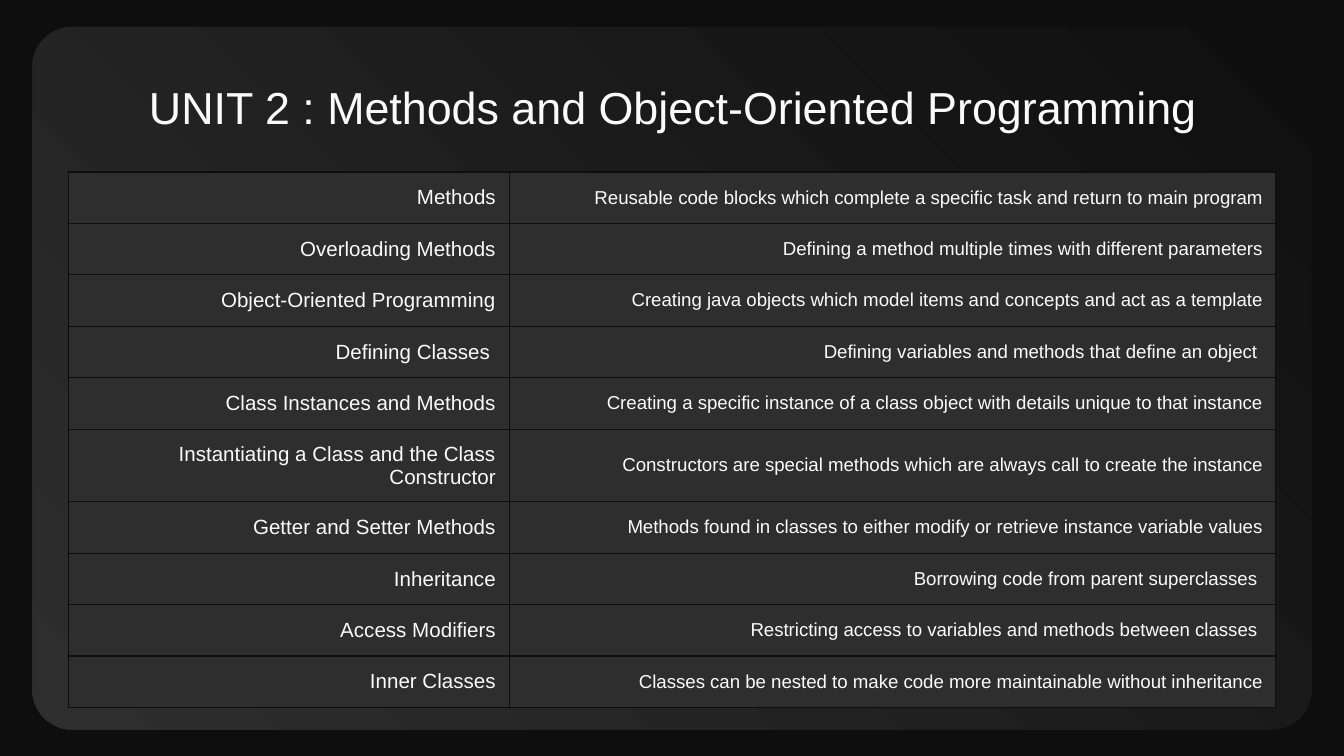
"""Build the Unit 2 slide: a table of Java topics and their definitions."""
from dataclasses import dataclass

from lxml.etree import SubElement
from pptx import Presentation
from pptx.dml.color import RGBColor
from pptx.enum.shapes import MSO_SHAPE as Preset
from pptx.enum.text import MSO_ANCHOR as Anchor, MSO_AUTO_SIZE as AutoSize, PP_ALIGN as Align
from pptx.oxml.ns import qn
from pptx.util import Inches, Pt

COLORS = {"background": "0E0E0E", "panel_dark": "0F0F0F", "panel_light": "2E2E2E",
          "cell": "2E2E2E", "border": "0E0E0E", "text": "FAFAFA"}
FONT = "Arial"
INSET = Inches(0.1)
COLUMN_WIDTHS = (3.28, 5.7)
TABLE_HEIGHT = 3.83


@dataclass(frozen=True)
class Topic:
    name: str
    definition: str
    space_after: int = 16


TOPICS = (
    Topic("Methods", "Reusable code blocks which complete a specific task and return to main program"),
    Topic("Overloading Methods", "Defining a method multiple times with different parameters"),
    Topic("Object-Oriented Programming",
          "Creating java objects which model items and concepts and act as a template"),
    Topic("Defining Classes ", "Defining variables and methods that define an object "),
    Topic("Class Instances and Methods",
          "Creating a specific instance of a class object with details unique to that instance"),
    Topic("Instantiating a Class and the Class Constructor",
          "Constructors are special methods which are always call to create the instance", 0),
    Topic("Getter and Setter Methods",
          "Methods found in classes to either modify or retrieve instance variable values"),
    Topic("Inheritance", "Borrowing code from parent superclasses "),
    Topic("Access Modifiers", "Restricting access to variables and methods between classes "),
    Topic("Inner Classes", "Classes can be nested to make code more maintainable without inheritance"),
)


def rgb(role: str) -> RGBColor:
    return RGBColor.from_string(COLORS[role])


def format_paragraph(paragraph, size: int, align: Align) -> None:
    paragraph.alignment = align
    paragraph.font.name = FONT
    paragraph.font.size = Pt(size)
    paragraph.font.color.rgb = rgb("text")


def set_insets(holder, anchor: Anchor) -> None:
    holder.margin_left = holder.margin_right = INSET
    holder.margin_top = holder.margin_bottom = INSET
    holder.vertical_anchor = anchor


def add_borders(cell) -> None:
    properties = cell._tc.get_or_add_tcPr()
    for side in ("lnL", "lnR", "lnT", "lnB"):
        line = SubElement(properties, qn(f"a:{side}"), w=str(Pt(0.75)))
        fill = SubElement(line, qn("a:solidFill"))
        SubElement(fill, qn("a:srgbClr"), val=COLORS["border"])


def fill_cell(cell, text: str, size: int, space_after: int = 0) -> None:
    cell.text = text
    set_insets(cell, Anchor.MIDDLE)
    paragraph = cell.text_frame.paragraphs[0]
    format_paragraph(paragraph, size, Align.RIGHT)
    paragraph.space_after = Pt(space_after)
    add_borders(cell)
    cell.fill.solid()
    cell.fill.fore_color.rgb = rgb("cell")


def add_title(slide, text: str):
    title = slide.shapes.title
    title.left, title.top = Inches(0.79), Inches(0.49)
    title.width, title.height = Inches(8.43), Inches(0.63)
    frame = title.text_frame
    frame.text = text
    frame.auto_size = AutoSize.NONE
    set_insets(frame, Anchor.TOP)
    format_paragraph(frame.paragraphs[0], 24, Align.CENTER)
    return title


def add_panel(slide):
    panel = slide.shapes.add_shape(
        Preset.ROUNDED_RECTANGLE, Inches(0.24), Inches(0.2), Inches(9.52), Inches(5.23))
    panel.adjustments[0] = 0.057
    panel.shadow.inherit = False
    panel.line.fill.background()
    panel.fill.gradient()
    panel.fill.gradient_angle = 225
    for stop, role in zip(panel.fill.gradient_stops, ("panel_dark", "panel_light")):
        stop.color.rgb = rgb(role)
    return panel


def add_topic_table(slide, topics: tuple[Topic, ...]) -> None:
    table = slide.shapes.add_table(
        len(topics), len(COLUMN_WIDTHS), Inches(0.51), Inches(1.28),
        Inches(sum(COLUMN_WIDTHS)), Inches(TABLE_HEIGHT)).table
    table.first_row = table.horz_banding = False
    for column, width in zip(table.columns, COLUMN_WIDTHS):
        column.width = Inches(width)
    for row, topic in zip(table.rows, topics):
        name_cell, definition_cell = row.cells
        fill_cell(name_cell, topic.name, 11)
        fill_cell(definition_cell, topic.definition, 10, topic.space_after)


def main() -> None:
    deck = Presentation()
    deck.slide_width = Inches(10)
    deck.slide_height = deck.slide_width * 9 // 16
    slide = deck.slides.add_slide(deck.slide_layouts[5])
    slide.background.fill.solid()
    slide.background.fill.fore_color.rgb = rgb("background")
    title = add_title(slide, "UNIT 2 : Methods and Object-Oriented Programming")
    panel = add_panel(slide)
    title._element.addprevious(panel._element)
    add_topic_table(slide, TOPICS)
    deck.save("out.pptx")


if __name__ == "__main__":
    main()
